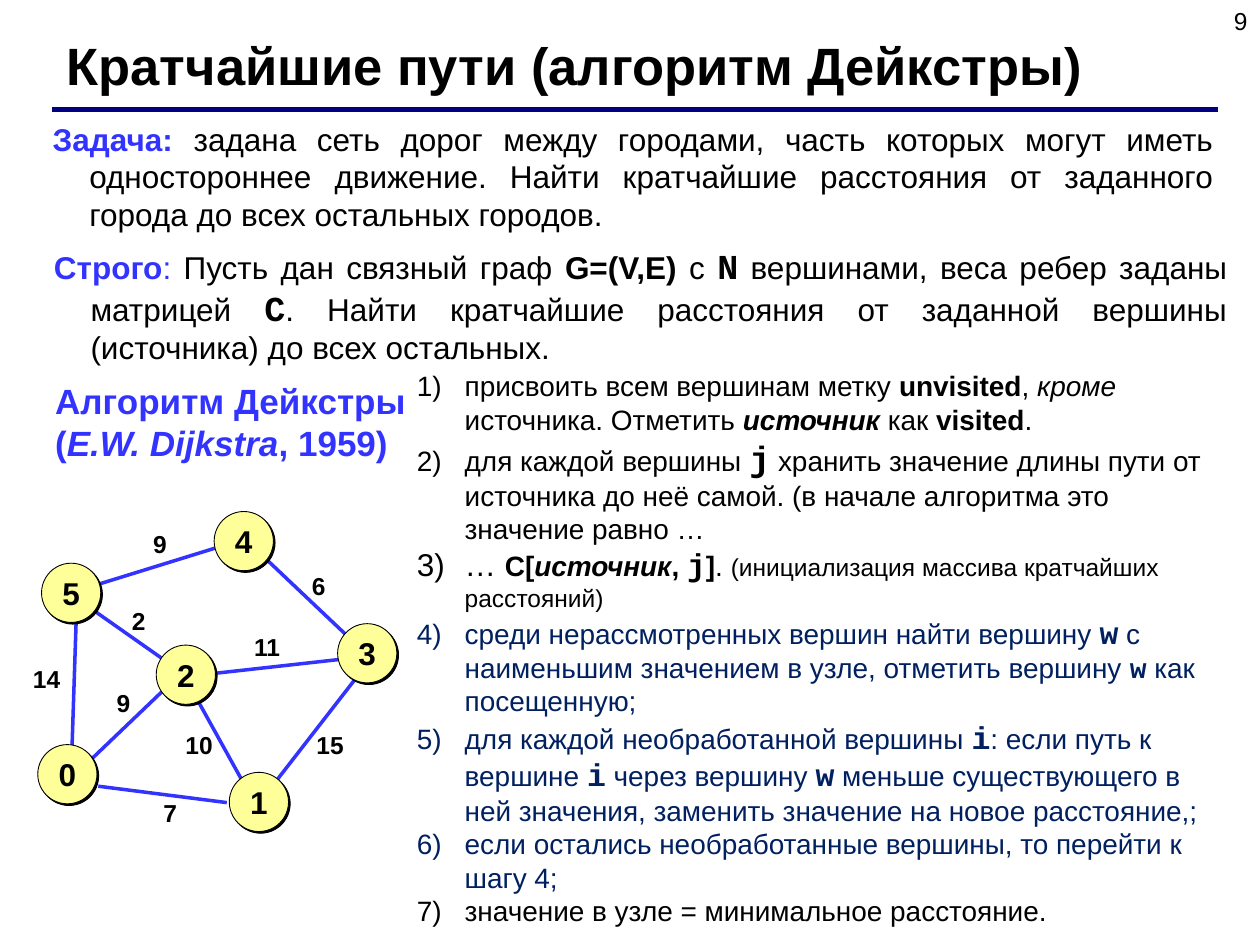
from lxml import etree
from pptx import Presentation
from pptx.dml.color import RGBColor
from pptx.enum.shapes import MSO_CONNECTOR, MSO_SHAPE
from pptx.enum.text import MSO_ANCHOR, MSO_AUTO_SIZE, PP_ALIGN
from pptx.oxml.ns import qn
from pptx.util import Inches, Pt

LEFT, CENTER, RIGHT = PP_ALIGN.LEFT, PP_ALIGN.CENTER, PP_ALIGN.RIGHT
JUSTIFY = PP_ALIGN.JUSTIFY
TOP, MIDDLE = MSO_ANCHOR.TOP, MSO_ANCHOR.MIDDLE
STRAIGHT, OVAL = MSO_CONNECTOR.STRAIGHT, MSO_SHAPE.OVAL

BLACK = RGBColor(0x00, 0x00, 0x00)
NAVY = RGBColor(0x00, 0x00, 0x80)
BLUE = RGBColor(0x33, 0x33, 0xFF)
DARK_BLUE = RGBColor(0x00, 0x20, 0x60)
YELLOW = RGBColor(0xFF, 0xFF, 0x99)
SANS, MONO = "Arial", "Courier New"

# Content: a span is (text, size, flags); b bold, i italic, m monospace, a accent
TITLE = [("Кратчайшие пути (алгоритм Дейкстры)", 30, "b")]
TASK = [
    ("Задача: ", 18, "ba"),
    ("задана сеть дорог между городами, часть которых могут иметь одностороннее "
     "движение. Найти кратчайшие расстояния от заданного города до всех "
     "остальных городов.", 18, ""),
]
FORMAL_TASK = [
    ("Строго", 18, "ba"), (":", 18, "a"),
    (" Пусть дан связный граф ", 18, ""), ("G=(V,E) ", 18, "b"), ("с ", 18, ""),
    ("N", 20, "bm"), (" вершинами, веса ребер заданы матрицей ", 18, ""),
    ("С", 20, "bm"),
    (". Найти кратчайшие расстояния от заданной вершины (источника) до всех "
     "остальных.", 18, ""),
]
AUTHOR = [
    [("Алгоритм Дейкстры", 20, "ba")],
    [("(", 20, "ba"), ("E.W. Dijkstra", 20, "bia"), (", 1959)", 20, "ba")],
]
STEPS = [
    (BLACK, [("присвоить всем вершинам метку ", 16, ""), ("unvisited", 16, "b"),
             (", ", 16, ""), ("кроме", 16, "i"), (" источника. Отметить ", 16, ""),
             ("источник", 16, "bi"), (" как ", 16, ""), ("visited", 16, "b"),
             (".", 16, "")]),
    (BLACK, [("для каждой вершины ", 16, ""), ("j", 20, "bm"),
             (" хранить значение длины пути от источника до неё самой. "
              "(в начале алгоритма это значение равно …", 16, "")]),
    (BLACK, [("… ", 18, ""), ("C[", 16, "b"), ("источник", 16, "bi"),
             (", ", 16, "b"), ("j", 18, "bm"), ("]", 16, "b"), (". ", 16, ""),
             ("(инициализация массива кратчайших расстояний)", 14, "")]),
    (DARK_BLUE, [("среди нерассмотренных вершин найти вершину ", 16, ""),
                 ("w", 18, "bm"),
                 (" с наименьшим значением в узле, отметить вершину ", 16, ""),
                 ("w", 16, "bm"), (" как посещенную;", 16, "")]),
    (DARK_BLUE, [("для каждой необработанной вершины ", 16, ""), ("i", 18, "bm"),
                 (": если путь к вершине ", 16, ""), ("i", 18, "bm"),
                 (" через вершину ", 16, ""), ("w", 18, "bm"),
                 (" меньше существующего в ней значения, заменить значение на "
                  "новое расстояние,;", 16, "")]),
    (DARK_BLUE, [("если остались необработанные вершины, то перейти к шагу 4;",
                  16, "")]),
    (BLACK, [("значение в узле = минимальное расстояние.", 16, "")]),
]

# Graph: node -> left, top
NODE_SIZE = 0.47
NODES = {"4": (1.7, 4.06), "2": (1.24, 5.12), "1": (1.82, 6.13),
         "3": (2.68, 4.95), "0": (0.3, 5.91), "5": (0.33, 4.47)}
# weight, edge start, edge end, label left and top
EDGES = [
    ("10", (1.57, 5.56), (1.93, 6.21), (1.44, 5.79)),
    ("6", (2.02, 4.35), (2.78, 5.07), (2.39, 4.53)),
    ("9", (0.61, 4.69), (1.87, 4.3), (1.13, 4.2)),
    ("15", (2.85, 5.35), (2.16, 6.24), (2.48, 5.79)),
    ("7", (0.78, 6.24), (1.8, 6.37), (1.21, 6.33)),
    ("11", (1.65, 5.35), (2.73, 5.23), (1.98, 5.02)),
    ("14", (0.61, 4.76), (0.57, 5.99), (0.23, 5.27)),
    ("9", (1.39, 5.39), (0.7, 6.05), (0.84, 5.46)),
    ("2", (1.42, 5.32), (0.68, 4.8), (0.96, 4.81)),
]


def set_frame(frame, anchor=TOP, margins=(0.1, 0.05), wrap=True):
    frame.word_wrap = wrap
    frame.auto_size = MSO_AUTO_SIZE.NONE
    frame.vertical_anchor = anchor
    frame.margin_left = frame.margin_right = Inches(margins[0])
    frame.margin_top = frame.margin_bottom = Inches(margins[1])


def write(para, spans, color=BLACK, align=LEFT):
    para.alignment = align
    para.space_before = Pt(0)
    for text, size, flags in spans:
        span = para.add_run()
        span.text = text
        span.font.size = Pt(size)
        span.font.name = MONO if "m" in flags else SANS
        span.font.bold = "b" in flags
        span.font.italic = "i" in flags
        span.font.color.rgb = BLUE if "a" in flags else color


def indent(para, amount):
    props = para._p.get_or_add_pPr()
    props.set("marL", str(Inches(amount)))
    props.set("indent", str(-Inches(amount)))
    return props


def add_text(shapes, place, paragraphs, align=LEFT, margins=(0.1, 0.05)):
    box = shapes.add_textbox(*map(Inches, place))
    set_frame(box.text_frame, margins=margins)
    for index, spans in enumerate(paragraphs):
        para = (box.text_frame.add_paragraph() if index
                else box.text_frame.paragraphs[0])
        write(para, spans, align=align)
    return box


def add_line(shapes, start, end, color, width):
    line = shapes.add_connector(STRAIGHT, *map(Inches, start + end))
    line.line.color.rgb = color
    line.line.width = Pt(width)
    etree.SubElement(line._element.spPr, qn("a:effectLst"))


def add_node(shapes, name, corner):
    node = shapes.add_shape(OVAL, *map(Inches, corner + (NODE_SIZE, NODE_SIZE)))
    node.fill.solid()
    node.fill.fore_color.rgb = YELLOW
    node.line.color.rgb = BLACK
    node.line.width = Pt(0.5)
    node.shadow.inherit = False
    effects = node._element.spPr.find(qn("a:effectLst"))
    shadow = etree.SubElement(effects, qn("a:outerShdw"), dist=str(Pt(1.4)),
                              dir="2700000", algn="ctr", rotWithShape="0")
    etree.SubElement(shadow, qn("a:srgbClr"), val=str(BLACK))
    set_frame(node.text_frame, MIDDLE, wrap=False)
    write(node.text_frame.paragraphs[0], [(name, 18, "b")], align=CENTER)


def add_steps(shapes):
    box = shapes.add_textbox(*map(Inches, (3.21, 2.88, 6.61, 4.54)))
    set_frame(box.text_frame)
    for index, (color, spans) in enumerate(STEPS):
        para = (box.text_frame.add_paragraph() if index
                else box.text_frame.paragraphs[0])
        props = indent(para, 0.38)
        para.space_before = Pt(0)
        bullet_color = etree.SubElement(props, qn("a:buClr"))
        etree.SubElement(bullet_color, qn("a:srgbClr"), val=str(color))
        etree.SubElement(props, qn("a:buFont"), typeface=SANS)
        etree.SubElement(props, qn("a:buAutoNum"), type="arabicParenR")
        write(para, spans, color)


def main():
    deck = Presentation()
    deck.slide_width, deck.slide_height = Inches(10), Inches(7.5)
    page = deck.slides.add_slide(deck.slide_layouts[5])
    shapes = page.shapes

    # Heading
    title = shapes.title
    title.left, title.top = Inches(0.43), Inches(0.21)
    title.width, title.height = Inches(8.9), Inches(0.6)
    set_frame(title.text_frame)
    write(title.text_frame.paragraphs[0], TITLE)
    add_line(shapes, (0.41, 0.87), (9.67, 0.87), NAVY, 3)
    add_text(shapes, (7.67, 0, 2.33, 0.52), [[("9", 14, "")]], RIGHT)

    # Problem statement
    for place, spans in [((0.32, 0.9, 9.41, 1), TASK),
                         ((0.33, 1.89, 9.51, 1.07), FORMAL_TASK)]:
        box = add_text(shapes, place, [spans], JUSTIFY)
        indent(box.text_frame.paragraphs[0], 0.29)

    # Algorithm
    add_steps(shapes)
    add_text(shapes, (0.34, 2.96, 3.06, 0.77), AUTHOR)

    # Weighted graph: edges below, then nodes, then weights
    graph = shapes.add_group_shape().shapes
    for _, start, end, _ in EDGES:
        add_line(graph, start, end, BLUE, 2)
    for name, corner in NODES.items():
        add_node(graph, name, corner)
    for weight, _, _, corner in EDGES:
        add_text(graph, corner + (0.28, 0.23), [[(weight, 14, "b")]], CENTER, (0, 0))

    deck.save("out.pptx")


if __name__ == "__main__":
    main()
